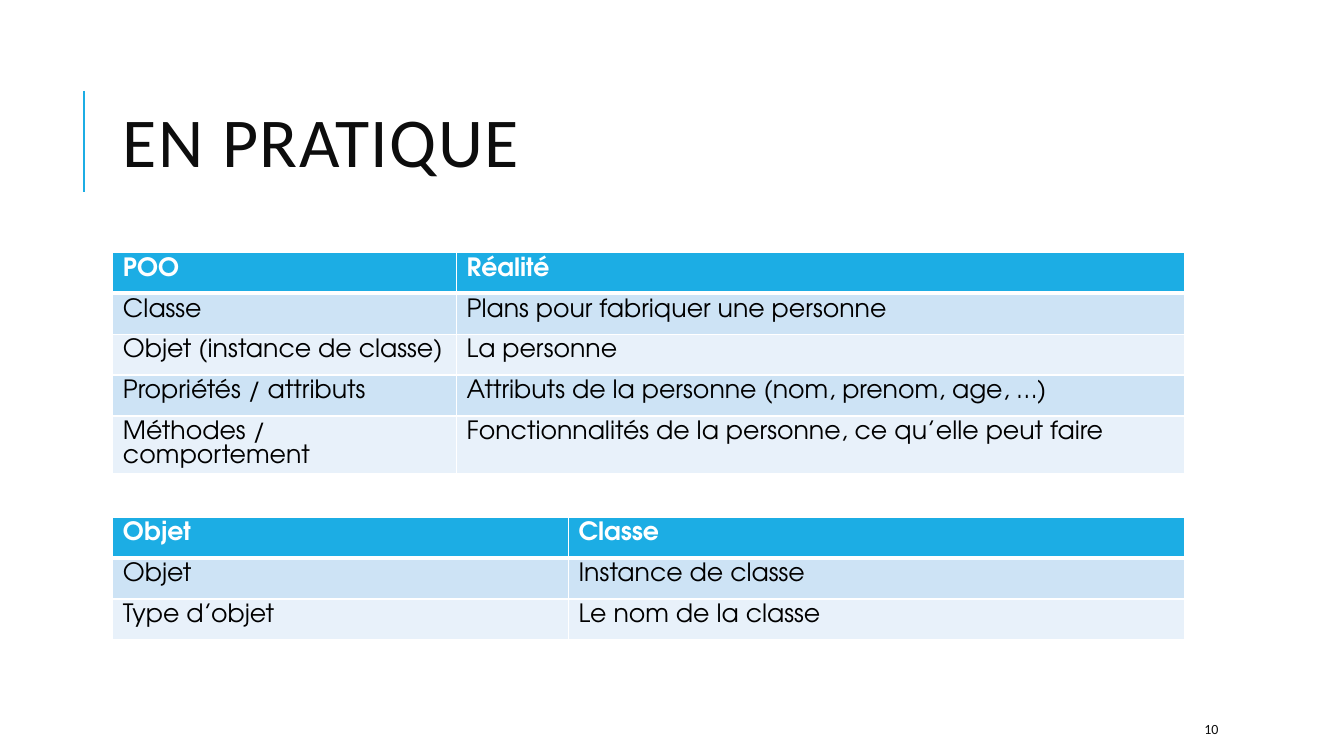
from pptx import Presentation
from pptx.dml.color import RGBColor
from pptx.enum.shapes import MSO_CONNECTOR as Connector
from pptx.enum.text import MSO_ANCHOR as Anchor, PP_ALIGN as Align
from pptx.oxml import parse_xml
from pptx.oxml.ns import nsdecls
from pptx.util import Pt

COLORS = {
    "accent": "1CADE4",
    "band_dark": "CDE3F5",
    "band_light": "E8F1FA",
    "white": "FFFFFF",
    "black": "000000",
    "ink": "0D0D0D",
}
TITLE_FORMAT = {"name": "Calibri", "size": Pt(50), "bold": False}
NUMBER_FORMAT = {"name": "Calibri", "size": Pt(10)}
CELL_FORMAT = {"name": "TeX Gyre Adventor", "size": Pt(18)}

TABLE_LEFT = 80.64
ROW_HEIGHT = 29.2

CONCEPTS = [
    ("POO", "Réalité"),
    ("Classe", "Plans pour fabriquer une personne"),
    ("Objet (instance de classe)", "La personne"),
    ("Propriétés / attributs", "Attributs de la personne (nom, prenom, age, …)"),
    ("Méthodes / comportement", "Fonctionnalités de la personne, ce qu’elle peut faire"),
]
VOCABULARY = [
    ("Objet", "Classe"),
    ("Objet", "Instance de classe"),
    ("Type d’objet", "Le nom de la classe"),
]


class SlideBuilder:
    def __init__(self, slide, colors):
        self.slide = slide
        self.colors = colors

    def rgb(self, color):
        return RGBColor.from_string(self.colors[color])

    def styled_run(self, text_frame, text, color, format_values):
        run = text_frame.paragraphs[0].add_run()
        run.text = text
        for name, value in format_values.items():
            setattr(run.font, name, value)
        run.font.color.rgb = self.rgb(color)
        return run

    def title(self, text, left, top, width, height):
        shape = self.slide.shapes.title
        shape.left, shape.top = Pt(left), Pt(top)
        shape.width, shape.height = Pt(width), Pt(height)
        frame = shape.text_frame
        frame.vertical_anchor = Anchor.MIDDLE
        frame.word_wrap = True
        paragraph = frame.paragraphs[0]
        paragraph.alignment = Align.LEFT
        paragraph.line_spacing = 0.8
        run = self.styled_run(frame, text, "ink", TITLE_FORMAT)
        run._r.get_or_add_rPr().set("spc", "100")

    def text(self, text, left, top, width, height):
        box = self.slide.shapes.add_textbox(Pt(left), Pt(top), Pt(width), Pt(height))
        box.text_frame.word_wrap = True
        box.text_frame.vertical_anchor = Anchor.MIDDLE
        self.styled_run(box.text_frame, text, "ink", NUMBER_FORMAT)

    def line(self, x, top, bottom, width):
        line = self.slide.shapes.add_connector(
            Connector.STRAIGHT, Pt(x), Pt(top), Pt(x), Pt(bottom))
        line.line.color.rgb = self.rgb("accent")
        line.line.width = Pt(width)
        line._element.spPr.append(parse_xml(f"<a:effectLst {nsdecls('a')}/>"))

    def borders(self, cell, row):
        """Draw white cell borders, thicker between the header and the body."""
        widths = {"L": 1, "R": 1, "T": 3 if row == 1 else 1, "B": 3 if row == 0 else 1}
        properties = cell._tc.get_or_add_tcPr()
        for side, width in widths.items():
            properties.append(parse_xml(
                f'<a:ln{side} {nsdecls("a")} w="{Pt(width)}"><a:solidFill>'
                f'<a:srgbClr val="{self.colors["white"]}"/></a:solidFill></a:ln{side}>'))

    def table(self, rows, top, column_widths):
        frame = self.slide.shapes.add_table(
            len(rows), len(column_widths), Pt(TABLE_LEFT), Pt(top),
            Pt(sum(column_widths)), Pt(ROW_HEIGHT * len(rows)))
        table = frame.table
        for column, width in zip(table.columns, column_widths):
            column.width = Pt(width)
        for row, texts in enumerate(rows):
            header = row == 0
            band = "band_dark" if row % 2 else "band_light"
            for column, text in enumerate(texts):
                cell = table.cell(row, column)
                self.borders(cell, row)
                cell.fill.solid()
                cell.fill.fore_color.rgb = self.rgb("accent" if header else band)
                self.styled_run(cell.text_frame, text, "white" if header else "black",
                                {**CELL_FORMAT, "bold": header})


def main():
    presentation = Presentation()
    presentation.slide_width, presentation.slide_height = Pt(960), Pt(540)
    slide = presentation.slides.add_slide(presentation.slide_layouts[5])
    builder = SlideBuilder(slide, COLORS)
    builder.line(60, 65, 137, 1.5)
    builder.title("EN PRATIQUE", TABLE_LEFT, 46, 765.4, 118)
    builder.table(CONCEPTS, 180.3, [245.5, 519.9])
    builder.text("10", 853.2, 509.8, 76.3, 21.6)
    builder.table(VOCABULARY, 369.5, [325.4, 440])
    presentation.save("out.pptx")


if __name__ == "__main__":
    main()
